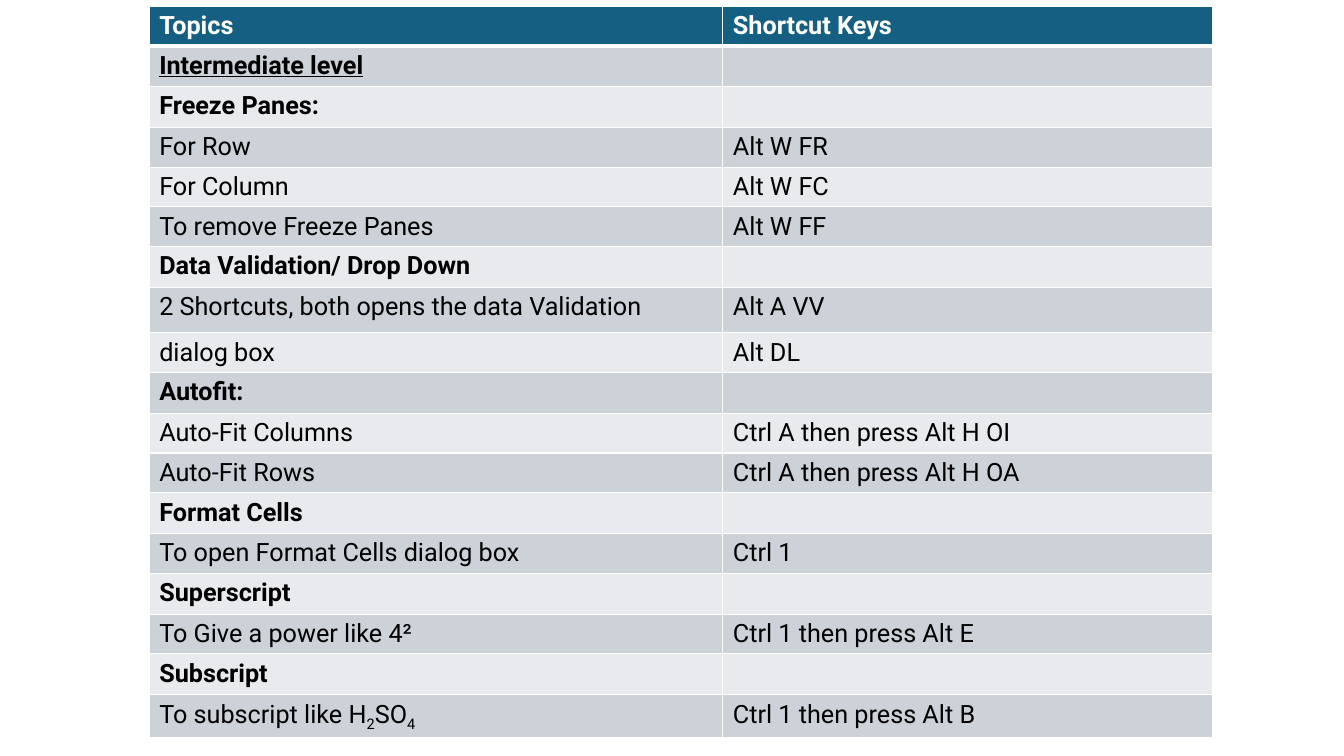
from lxml.etree import SubElement
from pptx import Presentation
from pptx.dml.color import RGBColor
from pptx.enum.text import MSO_ANCHOR
from pptx.oxml.ns import qn
from pptx.util import Inches, Pt

# Content: a row without a shortcut is a section heading; "_" lowers the next character
HEADER = ("Topics", "Shortcut Keys")
LEVEL = "Intermediate level"
ROWS = [
    (LEVEL, ""),
    ("Freeze Panes:", ""),
    ("For Row", "Alt W FR"),
    ("For Column", "Alt W FC"),
    ("To remove Freeze Panes", "Alt W FF"),
    ("Data Validation/ Drop Down", ""),
    ("2 Shortcuts, both opens the data Validation", "Alt A VV"),
    ("dialog box", "Alt DL"),
    ("Autofit:", ""),
    ("Auto-Fit Columns", "Ctrl A then press Alt H OI"),
    ("Auto-Fit Rows", "Ctrl A then press Alt H OA"),
    ("Format Cells", ""),
    ("To open Format Cells dialog box", "Ctrl 1"),
    ("Superscript", ""),
    ("To Give a power like 4²", "Ctrl 1 then press Alt E"),
    ("Subscript", ""),
    ("To subscript like H_2SO_4", "Ctrl 1 then press Alt B"),
]

THEME = {
    "font": "Roboto", "size": 18,
    "header": "156082", "bands": ("CCD2D8", "E8EAED"),
    "text": "000000", "light": "FFFFFF",
    "rule": 1, "header_rule": 3,
}

# Layout in inches
LEFT, TOP = 1.48, 0.06
COLUMNS = (5.69, 4.86)
ROW_HEIGHT, TALL_ROW, TALL_HEIGHT = 0.38, 7, 0.45


def write(tf, text, color=THEME["text"], bold=False, underline=False):
    p = tf.paragraphs[0]
    p.font.size = Pt(THEME["size"])
    first, *lowered = text.split("_")
    pieces = [(first, False)]
    for part in lowered:
        pieces += [(part[0], True), (part[1:], False)]
    for piece, subscript in pieces:
        if not piece:
            continue
        r = p.add_run()
        r.text = piece
        r.font.name, r.font.size = THEME["font"], Pt(THEME["size"])
        r.font.bold, r.font.underline = bold, underline
        r.font.color.rgb = RGBColor.from_string(color)
        if subscript:
            r.font._element.set("baseline", "-25000")


def add_borders(cell, **widths):
    """Draw the cell's rules; call before the fill, which must follow them."""
    tcPr = cell._tc.get_or_add_tcPr()
    for side in "LRTB":
        width = widths.get(side, THEME["rule"])
        ln = SubElement(tcPr, qn(f"a:ln{side}"), w=str(Pt(width)))
        fill = SubElement(ln, qn("a:solidFill"))
        SubElement(fill, qn("a:srgbClr"), val=THEME["light"])


def build_table(s):
    rows = [HEADER, *ROWS]
    table = s.shapes.add_table(
        len(rows), len(COLUMNS), Inches(LEFT), Inches(TOP),
        Inches(sum(COLUMNS)), Inches(ROW_HEIGHT * len(rows))).table
    for column, width in zip(table.columns, COLUMNS):
        column.width = Inches(width)

    for i, texts in enumerate(rows):
        table.rows[i].height = Inches(TALL_HEIGHT if i == TALL_ROW else ROW_HEIGHT)
        is_header = i == 0
        # The heavy rule lies between the header and the first row
        heavy = {0: {"B": THEME["header_rule"]}, 1: {"T": THEME["header_rule"]}}
        for j, text in enumerate(texts):
            cell = table.cell(i, j)
            add_borders(cell, **heavy.get(i, {}))
            cell.fill.solid()
            cell.fill.fore_color.rgb = RGBColor.from_string(
                THEME["header"] if is_header else THEME["bands"][(i - 1) % 2])
            cell.vertical_anchor = MSO_ANCHOR.TOP
            write(cell.text_frame, text,
                  color=THEME["light" if is_header else "text"],
                  bold=is_header or not texts[1], underline=text == LEVEL)


def main():
    prs = Presentation()
    prs.slide_width, prs.slide_height = Inches(13.33), Inches(7.5)
    s = prs.slides.add_slide(prs.slide_layouts[6])
    build_table(s)
    prs.save("out.pptx")


if __name__ == "__main__":
    main()
